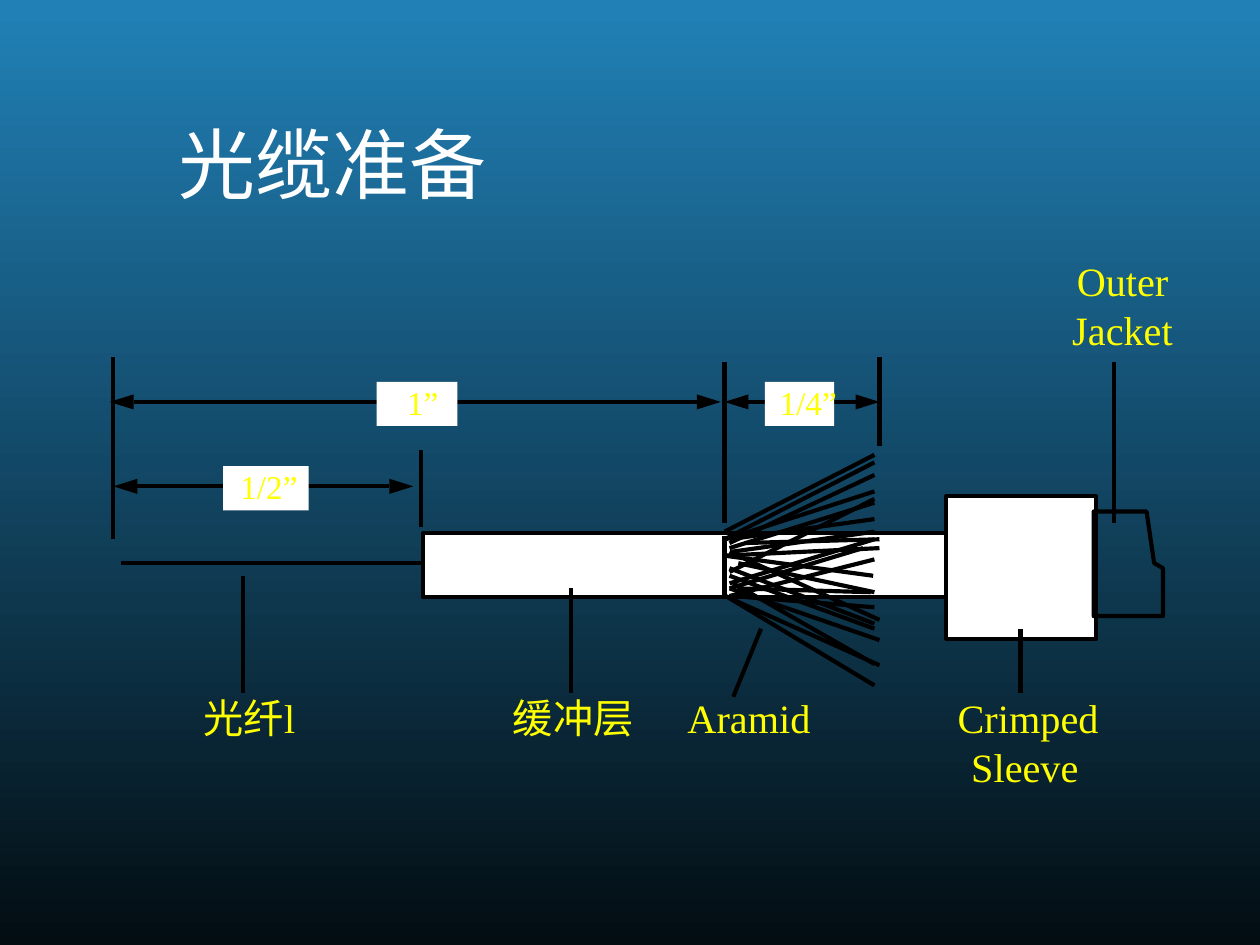
"""Build the fibre-optic cable preparation slide."""
import dataclasses

import lxml.etree
import pptx
import pptx.dml.color
import pptx.enum.shapes
import pptx.enum.text
import pptx.oxml.ns
import pptx.util


@dataclasses.dataclass(frozen=True)
class Theme:
    sky: str = "2181B7"
    deep: str = "030D12"
    ink: str = "000000"
    paper: str = "FFFFFF"
    label: str = "FFFF00"
    latin: str = "Times New Roman"
    asian: str = "Noto Sans CJK SC"
    title_size: float = 44
    label_size: float = 23
    measure_size: float = 19
    stroke: float = 2.38
    slack: float = 0.03


def length(inches):
    return pptx.util.Cm(inches * 2.54)


def lengths(*values):
    return [length(value) for value in values]


def color(value):
    return pptx.dml.color.RGBColor.from_string(value)


def apply(target, values):
    for name, value in values.items():
        setattr(target, name, value)


class Drawing:
    def __init__(self, slide, theme):
        self.slide = slide
        self.theme = theme
        self.shapes = slide.shapes

    def background(self):
        fill = self.slide.background.fill
        fill.gradient()
        fill.gradient_angle = 270
        stops = zip(fill.gradient_stops, (self.theme.sky, self.theme.deep))
        for position, (stop, value) in enumerate(stops):
            stop.position = position
            stop.color.rgb = color(value)

    def style(self, shape, fill, outlined):
        shape.shadow.inherit = False
        if fill:
            shape.fill.solid()
            shape.fill.fore_color.rgb = color(fill)
        else:
            shape.fill.background()
        if outlined:
            self.stroke(shape)
        else:
            shape.line.fill.background()

    def stroke(self, shape):
        shape.line.color.rgb = color(self.theme.ink)
        shape.line.width = pptx.util.Pt(self.theme.stroke)

    def rectangle(self, left, top, width, height, outlined=True):
        shape = self.shapes.add_shape(
            pptx.enum.shapes.MSO_SHAPE.RECTANGLE, *lengths(left, top, width, height))
        self.style(shape, self.theme.paper, outlined)

    def line(self, *ends):
        connector = self.shapes.add_connector(
            pptx.enum.shapes.MSO_CONNECTOR.STRAIGHT, *lengths(*ends))
        self.stroke(connector)
        lxml.etree.SubElement(connector._element.spPr, pptx.oxml.ns.qn("a:effectLst"))

    def polygon(self, points, fill=None, outlined=True):
        start, *others = [lengths(*point) for point in points]
        builder = self.shapes.build_freeform(*start)
        builder.add_line_segments(others, close=True)
        self.style(builder.convert_to_shape(), fill, outlined)

    def dimension(self, left, right, y):
        head, half = 0.19, 0.06
        for tip, base in ((left, left + head), (right, right - head)):
            self.polygon([(tip, y), (base, y - half), (base, y + half)],
                         self.theme.ink, outlined=False)
        self.line(left + head, y, right - head, y)

    def text(self, words, place, font_values, frame_values, align):
        box = self.shapes.add_textbox(*lengths(*place))
        apply(box.text_frame, frame_values)
        para = box.text_frame.paragraphs[0]
        para.alignment = align
        span = para.add_run()
        span.text = words
        apply(span.font, {"name": font_values["name"],
                          "size": pptx.util.Pt(font_values["size"])})
        span.font.color.rgb = color(font_values["color"])
        asian = lxml.etree.SubElement(span._r.get_or_add_rPr(), pptx.oxml.ns.qn("a:ea"))
        asian.set("typeface", self.theme.asian)

    def title(self, words, *place):
        theme = self.theme
        font = {"name": theme.asian, "size": theme.title_size, "color": theme.paper}
        frame = {"word_wrap": True,
                 "vertical_anchor": pptx.enum.text.MSO_ANCHOR.BOTTOM,
                 "margin_left": length(0.09), "margin_right": length(0.09),
                 "margin_top": length(0.05), "margin_bottom": length(0.05)}
        self.text(words, place, font, frame, pptx.enum.text.PP_ALIGN.LEFT)

    def label(self, words, left, top, width, height=0.38, size=None):
        theme = self.theme
        font = {"name": theme.latin, "size": size or theme.label_size,
                "color": theme.label}
        frame = {"word_wrap": False,
                 "auto_size": pptx.enum.text.MSO_AUTO_SIZE.SHAPE_TO_FIT_TEXT,
                 "margin_left": 0, "margin_right": 0,
                 "margin_top": 0, "margin_bottom": 0}
        place = (left - theme.slack, top, width + 2 * theme.slack, height)
        self.text(words, place, font, frame, pptx.enum.text.PP_ALIGN.CENTER)

    def measure(self, words, top, plate_left, plate_width, left, width):
        self.rectangle(plate_left, top, plate_width, 0.35, outlined=False)
        self.label(words, left, top, width, 0.32, self.theme.measure_size)


FIBRE = (3.82, 4.47, 0.96, 4.47)
BUFFER = (3.36, 4.23, 4.63, 0.51)
SLEEVE = (7.51, 3.94, 1.19, 1.13)
JACKET = [(8.68, 4.06), (8.68, 4.89), (9.23, 4.89), (9.23, 4.51), (9.16, 4.47), (9.1, 4.06)]
LEADERS = [(8.84, 2.87, 8.84, 4.15), (8.1, 5.5, 8.1, 4.99), (4.53, 5.5, 4.53, 4.67),
           (1.93, 5.5, 1.93, 4.57), (5.82, 5.53, 6.04, 4.99)]
STRANDS = [
    (5.75, 4.22, 6.94, 3.61), (5.75, 4.25, 5.75, 4.73), (5.75, 4.28, 6.94, 3.67),
    (5.76, 4.28, 6.94, 3.9), (5.79, 4.31, 6.94, 3.77), (5.79, 4.35, 6.94, 3.99),
    (5.79, 4.28, 6.94, 4.12), (5.91, 4.31, 6.98, 4.28), (5.75, 4.41, 6.98, 4.35),
    (5.79, 4.54, 6.94, 3.96), (5.79, 4.38, 6.98, 4.92), (5.79, 4.51, 6.94, 4.95),
    (5.82, 4.63, 6.94, 5.27), (5.76, 4.73, 6.94, 5.44), (5.82, 4.76, 6.98, 5.28),
    (5.79, 4.67, 6.98, 5.08), (5.79, 4.73, 6.94, 4.44), (5.79, 4.63, 6.94, 4.28),
    (5.86, 4.47, 6.94, 4.7), (5.79, 4.57, 6.94, 4.99), (5.85, 4.67, 6.91, 4.7),
    (5.79, 4.67, 6.85, 4.35), (5.8, 4.38, 6.94, 4.22), (5.81, 4.73, 6.94, 4.82),
    (6.93, 4.57, 5.75, 4.41)]
EXTENSIONS = [(6.98, 3.54, 6.98, 2.83), (3.34, 4.18, 3.34, 3.57),
              (5.75, 4.15, 5.75, 2.87), (0.9, 4.28, 0.9, 2.83)]
DIMENSIONS = [(0.87, 5.72, 3.19), (5.75, 6.98, 3.19), (0.9, 3.28, 3.86)]
LABELS = [("Outer", 8.55, 2.03, 0.72), ("Jacket", 8.51, 2.42, 0.8),
          ("光纤l", 1.58, 5.5, 0.8), ("缓冲层", 4.07, 5.5, 0.96),
          ("Crimped", 7.6, 5.5, 1.12), ("Sleeve", 7.71, 5.89, 0.85),
          ("Aramid", 5.45, 5.5, 0.99)]
MEASURES = [("1”", 3.03, 2.99, 0.64, 3.23, 0.25), ("1/4”", 3.03, 6.07, 0.55, 6.19, 0.45),
            ("1/2”", 3.7, 1.77, 0.68, 1.91, 0.45)]


def main():
    deck = pptx.Presentation()
    apply(deck, {"slide_width": length(10), "slide_height": length(7.5)})
    slide = deck.slides.add_slide(deck.slide_layouts[6])
    drawing = Drawing(slide, Theme())
    drawing.background()
    drawing.title("光缆准备", 1.33, 0.46, 7.5, 1.25)

    drawing.shapes = slide.shapes.add_group_shape().shapes
    drawing.line(*FIBRE)
    drawing.rectangle(*BUFFER)
    drawing.rectangle(*SLEEVE)
    drawing.polygon(JACKET)
    for ends in LEADERS + STRANDS + EXTENSIONS:
        drawing.line(*ends)
    for span in DIMENSIONS:
        drawing.dimension(*span)

    drawing.shapes = slide.shapes
    for label in LABELS:
        drawing.label(*label)
    for measure in MEASURES:
        drawing.measure(*measure)
    deck.save("out.pptx")


if __name__ == "__main__":
    main()
